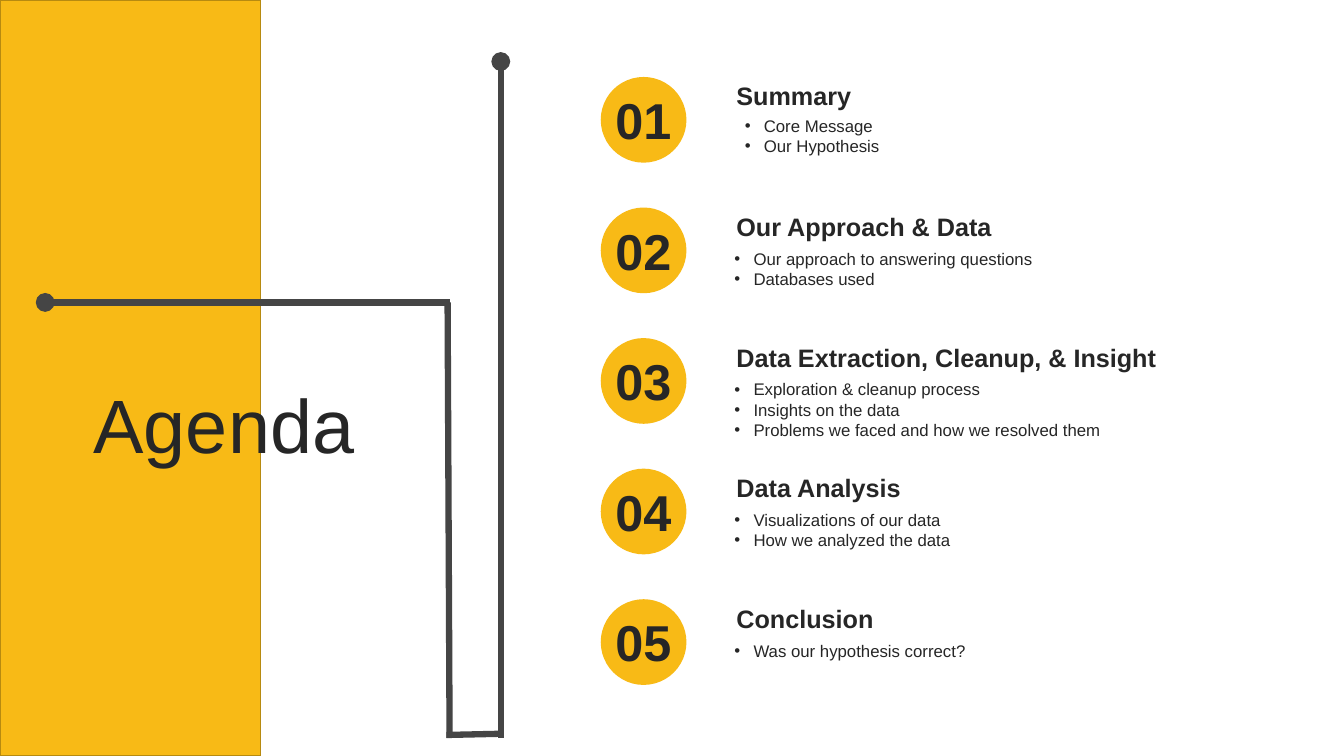
from lxml import etree
from pptx import Presentation
from pptx.dml.color import RGBColor
from pptx.enum.shapes import MSO_CONNECTOR, MSO_SHAPE
from pptx.enum.text import MSO_ANCHOR, PP_ALIGN
from pptx.oxml.ns import qn
from pptx.util import Cm, Pt

RECT, OVAL = MSO_SHAPE.RECTANGLE, MSO_SHAPE.OVAL
STRAIGHT = MSO_CONNECTOR.STRAIGHT
TOP, MIDDLE = MSO_ANCHOR.TOP, MSO_ANCHOR.MIDDLE
LEFT, CENTER = PP_ALIGN.LEFT, PP_ALIGN.CENTER
COLORS = {key: RGBColor.from_string(value) for key, value in {
    "yellow": "F8BA16", "edge": "B78A10", "line": "454545", "text": "262626",
}.items()}


def add_text(shapes, box, lines, size, bold=False, align=LEFT, anchor=TOP,
             inset=0.25, bullet=False):
    tf = shapes.add_textbox(*[Cm(v) for v in box]).text_frame
    tf.word_wrap = True
    tf.vertical_anchor = anchor
    tf.margin_left = tf.margin_right = Cm(inset)
    for i, line in enumerate(lines):
        p = tf.paragraphs[0] if i == 0 else tf.add_paragraph()
        p.alignment = align
        if bullet:
            pPr = p._p.get_or_add_pPr()
            pPr.set("marL", str(Cm(0.48)))
            pPr.set("indent", str(-Cm(0.48)))
            etree.SubElement(pPr, qn("a:buFont"), typeface="Arial")
            etree.SubElement(pPr, qn("a:buChar"), char="•")
        r = p.add_run()
        r.text = line
        r.font.name = "Arial"
        r.font.size = Pt(size)
        r.font.bold = bold
        r.font.color.rgb = COLORS["text"]


def add_filled(shapes, kind, box):
    sp = shapes.add_shape(kind, *[Cm(v) for v in box])
    sp.shadow.inherit = False
    sp.fill.solid()
    sp.fill.fore_color.rgb = COLORS["yellow"]
    sp.line.fill.background()
    return sp


prs = Presentation()
prs.slide_width, prs.slide_height = Cm(33.87), Cm(19.05)
s = prs.slides.add_slide(prs.slide_layouts[6])

# Side panel and title
panel = add_filled(s.shapes, RECT, (0, 0, 6.56, 19.05))
panel.line.color.rgb = COLORS["edge"]
panel.line.width = Pt(1)
add_text(s.shapes, (2.11, 9.37, 8.94, 2.57), ["Agenda"], 54, anchor=MIDDLE)

# Bent line with round ends
segments = [
    ((1.14, 7.62, 11.33, 7.62), "a:headEnd"),
    ((11.33, 18.59, 11.28, 7.62), None),
    ((12.62, 18.59, 12.62, 1.55), "a:tailEnd"),
    ((11.25, 18.52, 12.65, 18.49), None),
]
for points, round_end in segments:
    cx = s.shapes.add_connector(STRAIGHT, *[Cm(v) for v in points])
    cx.line.color.rgb = COLORS["line"]
    cx.line.width = Pt(4.5)
    if round_end:
        etree.SubElement(cx.line._get_or_add_ln(), qn(round_end), type="oval")
    etree.SubElement(cx._element.spPr, qn("a:effectLst"))

# Agenda items
items = [
    ("Summary", ["Core Message", "Our Hypothesis"]),
    ("Our Approach & Data",
     ["Our approach to answering questions", "Databases used"]),
    ("Data Extraction, Cleanup, & Insight",
     ["Exploration & cleanup process", "Insights on the data",
      "Problems we faced and how we resolved them"]),
    ("Data Analysis",
     ["Visualizations of our data", "How we analyzed the data"]),
    ("Conclusion", ["Was our hypothesis correct?"]),
]
for i, (heading, points) in enumerate(items):
    top = 1.91 + i * 3.29
    # The first list sits slightly right of and higher than the others
    left, drop = (18.52, 0.88) if i == 0 else (18.26, 0.94)
    group = s.shapes.add_group_shape().shapes
    add_text(group, (left, top + drop, 12.52, 0.25 + 0.52 * len(points)),
             points, 12, bullet=True)
    add_text(group, (18.26, top, 12.52, 1.02), [heading], 18, bold=True,
             inset=0.3)
    add_filled(group, OVAL, (15.14, top + 0.03, 2.16, 2.16))
    add_text(group, (14.88, top + 0.21, 2.67, 1.8), [f"{i + 1:02d}"], 36,
             bold=True, align=CENTER, inset=0.3)

prs.save("out.pptx")
